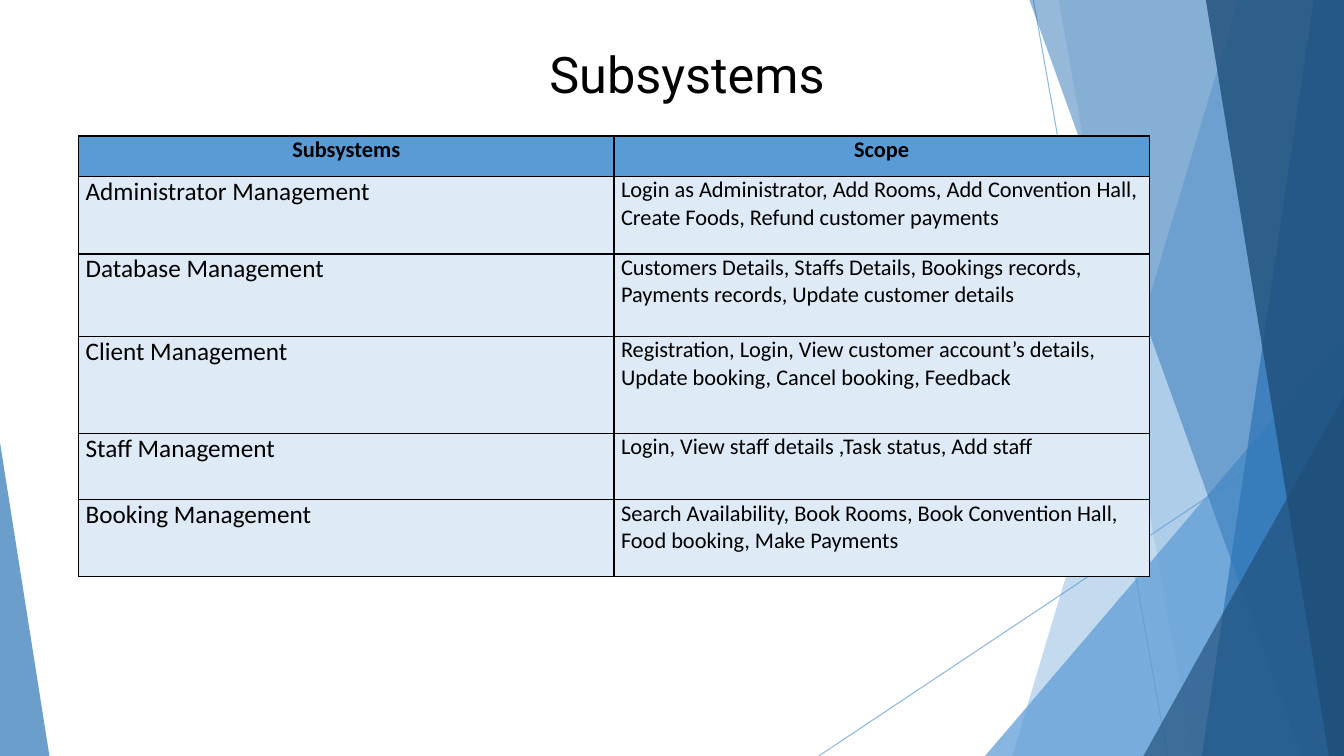
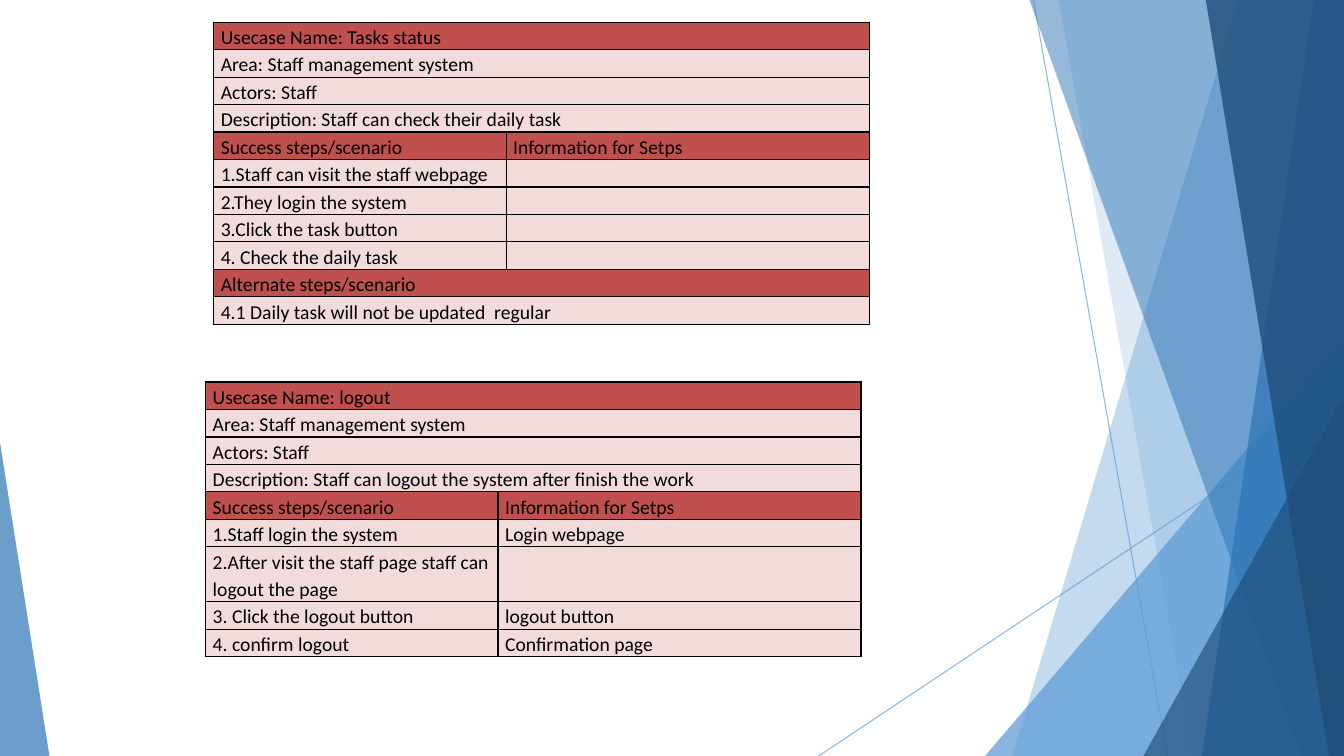
from dataclasses import dataclass

from lxml import etree
from pptx import Presentation
from pptx.dml.color import RGBColor
from pptx.enum.shapes import MSO_CONNECTOR as Connector, MSO_SHAPE as Preset
from pptx.enum.text import MSO_ANCHOR as Anchor, PP_ALIGN as Align
from pptx.oxml.ns import qn
from pptx.util import Inches, Pt


@dataclass(frozen=True)
class Theme:
    sky: str = "5B9BD5"
    blue: str = "2E75B6"
    navy: str = "1F4E79"
    pale_blue: str = "DEEAF6"
    red: str = "C0504D"
    pale_red: str = "F2DBDB"
    ink: str = "000000"
    title_font: str = "Roboto"
    body_font: str = "Calibri"
    title_size: int = 36
    name_size: int = 18
    scope_size: int = 16
    usecase_size: int = 14
    usecase_spacing: float = 1.15


THEME = Theme()
WIDTH, HEIGHT = 13.33, 7.5

RAYS = [((10.25, 0), (11.58, HEIGHT)), ((WIDTH, 4.03), (8.12, HEIGHT))]
RAY_OPACITY = 70
# entries: kind, geometry, colour, opacity
FACETS = [
    ("band", (12.28, 10.04), THEME.sky, 36),
    ("band", (10.5, 11.83), THEME.sky, 20),
    ("corner", (9.77, 3.33, WIDTH, 1), THEME.sky, 72),
    ("band", (10.21, 12.91), THEME.blue, 50),
    ("band", (13.03, 11.92), THEME.blue, 70),
    ("band", (11.96, 13.18), THEME.navy, 80),
    ("corner", (11.34, 3.93, WIDTH, 1), THEME.navy, 66),
    ("corner", (0, 4.39, 0.49, 0), THEME.blue, 70),
]

TITLE = "Subsystems"
SUBSYSTEM_HEADINGS = ("Subsystems", "Scope")
SUBSYSTEMS = [
    ("Administrator Management",
     "Login as Administrator, Add Rooms, Add Convention Hall, Create Foods, Refund customer payments"),
    ("Database Management",
     "Customers Details, Staffs Details, Bookings records, Payments records, Update customer details"),
    ("Client Management",
     "Registration, Login, View customer account’s details, Update booking, Cancel booking, Feedback"),
    ("Staff Management", "Login, View staff details ,Task status, Add staff"),
    ("Booking Management",
     "Search Availability, Book Rooms, Book Convention Hall, Food booking, Make Payments"),
]
SUBSYSTEM_COLUMNS = [5.31, 5.31]
SUBSYSTEM_ROWS = [0.4, 0.77, 0.82, 0.96, 0.66, 0.76]

STEP_HEADINGS = ("Success steps/scenario", "Information for Setps")
USECASES = [
    {
        "at": (2.12, 0.22),
        "name": "Tasks status",
        "description": "Staff can check their daily task",
        "steps": [
            ("1.Staff can visit the staff webpage", ""),
            ("2.They login the system", ""),
            ("3.Click the task button", ""),
            ("4. Check the daily task", ""),
        ],
        "alternates": ["4.1 Daily task will not be updated  regular"],
    },
    {
        "at": (2.04, 3.79),
        "name": "logout",
        "description": "Staff can logout the system after finish the work",
        "steps": [
            ("1.Staff login the system", "Login webpage"),
            ("2.After visit the staff page staff can logout the page", ""),
            ("3. Click the logout button", "logout button"),
            ("4. confirm logout", "Confirmation page"),
        ],
        "alternates": [],
    },
]
USECASE_COLUMNS = [2.9, 3.6]
USECASE_ROW = 0.27


def set_opacity(element, percent):
    for color in element.iter(qn("a:srgbClr")):
        etree.SubElement(color, qn("a:alpha"), val=str(percent * 1000))


def draw_ray(slide, start, end):
    ends = [Inches(value) for value in (*start, *end)]
    ray = slide.shapes.add_connector(Connector.STRAIGHT, *ends)
    ray.line.color.rgb = RGBColor.from_string(THEME.sky)
    ray.line.width = Pt(0.75)
    etree.SubElement(ray.element.spPr, qn("a:effectLst"))
    set_opacity(ray.element.spPr, RAY_OPACITY)


def draw_facet(slide, kind, geometry, color, opacity):
    if kind == "band":
        top_x, bottom_x = geometry
        outline = [(WIDTH, 0), (WIDTH, HEIGHT), (bottom_x, HEIGHT)]
        builder = slide.shapes.build_freeform(Inches(top_x), 0)
        builder.add_line_segments([(Inches(x), Inches(y)) for x, y in outline], close=True)
        shape = builder.convert_to_shape()
    else:
        left, top, right, apex = geometry
        box = [Inches(value) for value in (left, top, right - left, HEIGHT - top)]
        shape = slide.shapes.add_shape(Preset.ISOSCELES_TRIANGLE, *box)
        shape.adjustments[0] = apex
    shape.shadow.inherit = False
    shape.fill.solid()
    shape.fill.fore_color.rgb = RGBColor.from_string(color)
    shape.line.fill.background()
    set_opacity(shape.element.spPr, opacity)


def move_backdrop_to_layout(slide, layout):
    target = layout.shapes.element
    for placeholder in list(layout.placeholders):
        target.remove(placeholder.element)
    for ray in RAYS:
        draw_ray(slide, *ray)
    for facet in FACETS:
        draw_facet(slide, *facet)
    for shape in list(slide.shapes):
        target.append(shape.element)


def add_text(paragraph, text, size, font, bold=False):
    run = paragraph.add_run()
    run.text = text
    run.font.size = Pt(size)
    run.font.name = font
    run.font.bold = bold
    run.font.color.rgb = RGBColor.from_string(THEME.ink)


def add_grid(slide, left, top, columns, rows):
    frame = slide.shapes.add_table(
        len(rows), len(columns), Inches(left), Inches(top), Inches(sum(columns)), Inches(sum(rows)))
    table = frame.table
    table.first_row = table.horz_banding = False
    for column, width in zip(table.columns, columns):
        column.width = Inches(width)
    for row, height in zip(table.rows, rows):
        row.height = Inches(height)
    return table


def style_cell(cell, fill):
    cell.margin_left = cell.margin_right = Inches(0.07)
    cell.margin_top = cell.margin_bottom = 0
    cell.vertical_anchor = Anchor.TOP
    properties = cell._tc.get_or_add_tcPr()
    for side in ("lnL", "lnR", "lnT", "lnB"):
        border = etree.SubElement(properties, qn(f"a:{side}"), w=str(Pt(1)))
        solid = etree.SubElement(border, qn("a:solidFill"))
        etree.SubElement(solid, qn("a:srgbClr"), val=THEME.ink)
    cell.fill.solid()
    cell.fill.fore_color.rgb = RGBColor.from_string(fill)


def fill_cell(cell, text, fill, size, bold=False, align=Align.LEFT, spacing=None):
    style_cell(cell, fill)
    paragraph = cell.text_frame.paragraphs[0]
    paragraph.alignment = align
    if spacing:
        paragraph.line_spacing = spacing
    if text:
        add_text(paragraph, text, size, THEME.body_font, bold)
    else:
        etree.SubElement(paragraph._p, qn("a:endParaRPr"), sz=str(size * 100))


def build_subsystems(slide):
    table = add_grid(slide, 0.78, 1.35, SUBSYSTEM_COLUMNS, SUBSYSTEM_ROWS)
    for column, heading in enumerate(SUBSYSTEM_HEADINGS):
        fill_cell(table.cell(0, column), heading, THEME.sky, THEME.scope_size, True, Align.CENTER)
    for row, (name, scope) in enumerate(SUBSYSTEMS, 1):
        fill_cell(table.cell(row, 0), name, THEME.pale_blue, THEME.name_size)
        fill_cell(table.cell(row, 1), scope, THEME.pale_blue, THEME.scope_size)
    title = slide.shapes.add_textbox(Inches(5.35), Inches(0.38), Inches(3.02), Inches(0.71))
    title.text_frame.word_wrap = True
    add_text(title.text_frame.paragraphs[0], TITLE, THEME.title_size, THEME.title_font)


def usecase_rows(usecase):
    head, body = THEME.red, THEME.pale_red
    rows = [
        (head, (f"Usecase Name: {usecase['name']}",)),
        (body, ("Area: Staff management system",)),
        (body, ("Actors: Staff",)),
        (body, (f"Description: {usecase['description']}",)),
        (head, STEP_HEADINGS),
    ]
    rows += [(body, step) for step in usecase["steps"]]
    if usecase["alternates"]:
        rows.append((head, ("Alternate steps/scenario",)))
        rows += [(body, (step,)) for step in usecase["alternates"]]
    return rows


def build_usecase(slide, usecase):
    rows = usecase_rows(usecase)
    table = add_grid(slide, *usecase["at"], USECASE_COLUMNS, [USECASE_ROW] * len(rows))
    for row, (fill, texts) in enumerate(rows):
        first, last = table.cell(row, 0), table.cell(row, 1)
        if len(texts) == 1:
            first.merge(last)
            style_cell(last, fill)
        for cell, text in zip((first, last), texts):
            fill_cell(cell, text, fill, THEME.usecase_size, spacing=THEME.usecase_spacing)


def main():
    presentation = Presentation()
    presentation.slide_width = Inches(WIDTH)
    presentation.slide_height = Inches(HEIGHT)
    blank = presentation.slide_layouts[6]
    subsystems_slide = presentation.slides.add_slide(blank)
    move_backdrop_to_layout(subsystems_slide, blank)
    build_subsystems(subsystems_slide)
    usecase_slide = presentation.slides.add_slide(blank)
    for usecase in USECASES:
        build_usecase(usecase_slide, usecase)
    presentation.save("out.pptx")


if __name__ == "__main__":
    main()
